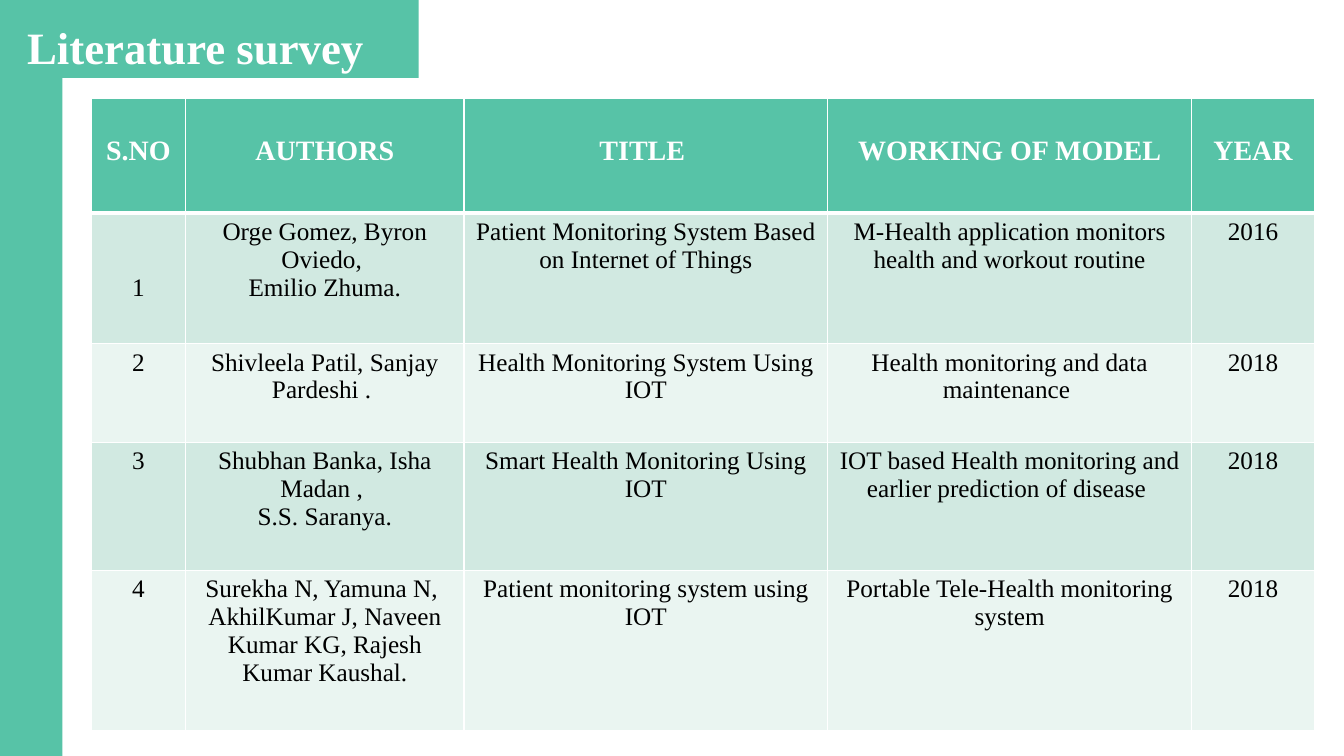
import pptx
import pptx.util
import pptx.dml.color
import pptx.enum.shapes
import pptx.enum.text
import pptx.oxml
import pptx.oxml.ns

Pt = pptx.util.Pt
RGBColor = pptx.dml.color.RGBColor
Align = pptx.enum.text.PP_ALIGN

TEAL = RGBColor(0x57, 0xC3, 0xA7)
MINT = RGBColor(0xD1, 0xE9, 0xE1)
PALE = RGBColor(0xEA, 0xF5, 0xF1)
WHITE = RGBColor(0xFF, 0xFF, 0xFF)
BLACK = RGBColor(0, 0, 0)

FACE = "Times New Roman"
TITLE_FONT = {"name": FACE, "size": Pt(32), "bold": True}
HEAD_FONT = {"name": FACE, "size": Pt(20), "bold": True}
BODY_FONT = {"name": FACE, "size": Pt(18), "bold": False}

COLUMN_WIDTHS = [67.7, 198.7, 259.9, 259.9, 87.8]
ROW_HEIGHTS = [81.4, 93.4, 70.5, 91.4, 114.3]
CELL_TOP = 3.6
HEAD_TOP = 26.5
FIRST_NUMBER_TOP = 44

SURVEY = [
    ["S.NO", "AUTHORS", "TITLE ", "WORKING OF MODEL", "YEAR"],
    ["1", "Orge Gomez, Byron Oviedo, \nEmilio Zhuma.",
     "Patient Monitoring System Based on Internet of Things",
     "M-Health application monitors health and workout routine", "2016"],
    ["2", "Shivleela Patil, Sanjay Pardeshi . ",
     "Health Monitoring System Using IOT",
     "Health monitoring and data maintenance ", "2018"],
    ["3", "Shubhan Banka, Isha Madan , \nS.S. Saranya.",
     "Smart Health Monitoring Using IOT",
     "IOT based Health monitoring and earlier prediction of disease ", "2018"],
    ["4", "Surekha N, Yamuna N, \nAkhilKumar J, Naveen Kumar KG, Rajesh Kumar Kaushal.",
     "Patient monitoring system using IOT",
     "Portable Tele-Health monitoring system", "2018"],
]


def write_text(frame, text, font, color, align):
    frame.text = text
    for para in frame.paragraphs:
        para.alignment = align
        for span in para.runs:
            for key, value in font.items():
                setattr(span.font, key, value)
            span.font.color.rgb = color


def add_block(page, left, top, width, height):
    box = page.shapes.add_shape(pptx.enum.shapes.MSO_SHAPE.RECTANGLE,
                                Pt(left), Pt(top), Pt(width), Pt(height))
    box.shadow.inherit = False
    box.fill.solid()
    box.fill.fore_color.rgb = TEAL
    box.line.fill.background()
    return box


def place_title(page, banner, text):
    title = page.shapes.title
    placing = {"left": Pt(12.2), "top": Pt(10.1), "width": Pt(261.4), "height": Pt(46)}
    for key, value in placing.items():
        setattr(title, key, value)
    banner.element.addnext(title.element)  # in front of the banner
    frame = title.text_frame
    frame.word_wrap = True
    frame.auto_size = pptx.enum.text.MSO_AUTO_SIZE.SHAPE_TO_FIT_TEXT
    frame.vertical_anchor = pptx.enum.text.MSO_ANCHOR.MIDDLE
    write_text(frame, text, TITLE_FONT, WHITE, Align.LEFT)


def set_borders(cell, widths):
    properties = cell._tc.get_or_add_tcPr()
    for place, (side, width) in enumerate(widths.items()):
        line = pptx.oxml.parse_xml(
            f'<a:ln{side} {pptx.oxml.ns.nsdecls("a")} w="{Pt(width)}">'
            f'<a:solidFill><a:srgbClr val="{WHITE}"/></a:solidFill></a:ln{side}>')
        properties.insert(place, line)


def format_cell(cell, text, row):
    head = row == 0
    cell.fill.solid()
    cell.fill.fore_color.rgb = TEAL if head else MINT if row % 2 else PALE
    cell.margin_top = Pt(HEAD_TOP if head else CELL_TOP)
    write_text(cell.text_frame, text, HEAD_FONT if head else BODY_FONT,
               WHITE if head else BLACK, Align.CENTER)
    set_borders(cell, {"L": 1, "R": 1, "T": 3 if row == 1 else 1, "B": 3 if head else 1})


def add_survey_table(page):
    table = page.shapes.add_table(
        len(ROW_HEIGHTS), len(COLUMN_WIDTHS), Pt(65), Pt(70.6),
        Pt(sum(COLUMN_WIDTHS)), Pt(sum(ROW_HEIGHTS))).table
    for column, width in zip(table.columns, COLUMN_WIDTHS):
        column.width = Pt(width)
    for row, height in enumerate(ROW_HEIGHTS):
        table.rows[row].height = Pt(height)
        for column, text in enumerate(SURVEY[row]):
            format_cell(table.cell(row, column), text, row)
    table.cell(1, 0).margin_top = Pt(FIRST_NUMBER_TOP)


def main():
    deck = pptx.Presentation()
    deck.slide_width, deck.slide_height = Pt(960), Pt(540)
    page = deck.slides.add_slide(deck.slide_layouts[5])

    # Title on its banner, with the side bar below
    banner = add_block(page, 0, 0, 299, 55.6)
    place_title(page, banner, "Literature survey")
    add_block(page, 0, 55.6, 44.6, 484.4)

    # Survey table
    add_survey_table(page)
    deck.save("out.pptx")


if __name__ == "__main__":
    main()
